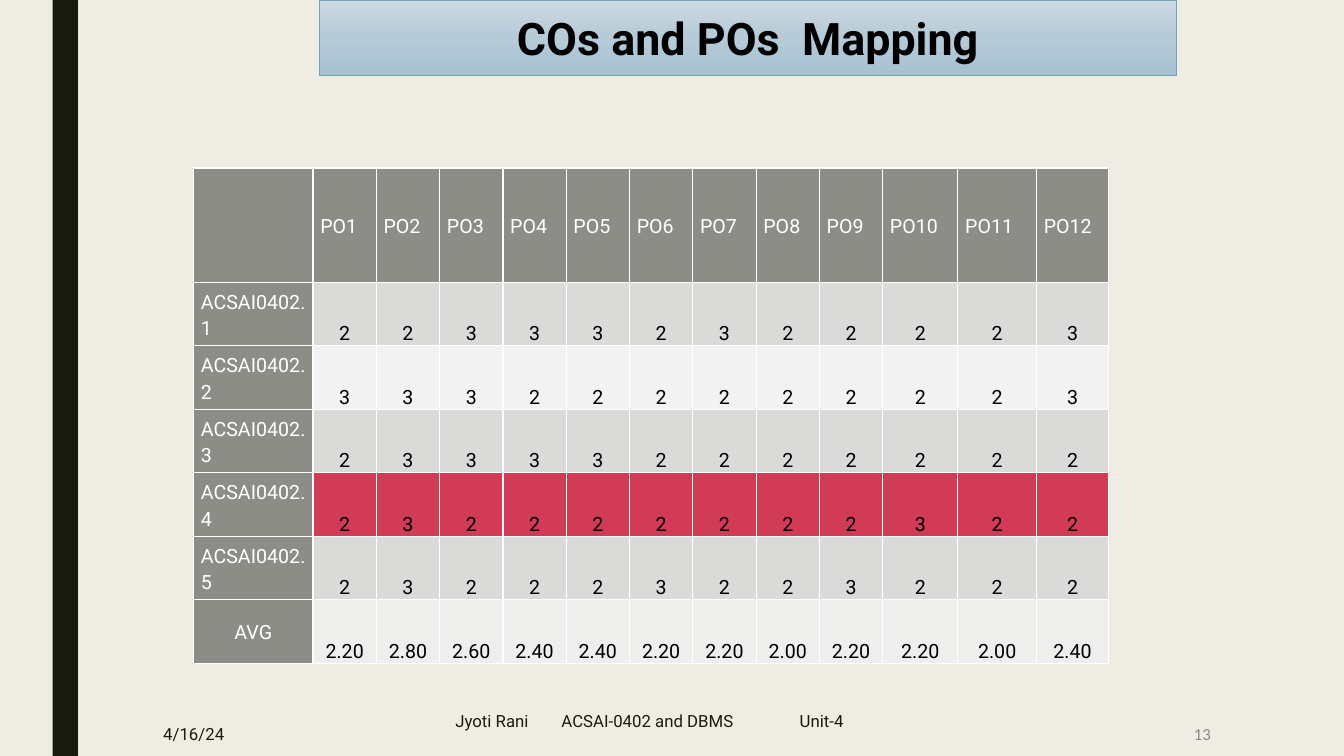
from copy import deepcopy
from dataclasses import dataclass

from lxml.etree import SubElement
from pptx import Presentation
from pptx.dml.color import RGBColor
from pptx.enum.shapes import MSO_SHAPE
from pptx.enum.text import MSO_ANCHOR, MSO_AUTO_SIZE, PP_ALIGN
from pptx.oxml.ns import qn
from pptx.util import Pt

CREAM = RGBColor(0xEF, 0xED, 0xE3)
DARK = RGBColor(0x19, 0x1B, 0x0E)
BLACK = RGBColor(0, 0, 0)
WHITE = RGBColor(0xFF, 0xFF, 0xFF)
MUTED = RGBColor(0x89, 0x89, 0x89)
EDGE = RGBColor(0x77, 0xA2, 0xBB)
BLUES = (RGBColor(0xCC, 0xDA, 0xE3), RGBColor(0xB6, 0xCA, 0xD7),
         RGBColor(0xA7, 0xC1, 0xD2))
HEAD = RGBColor(0x8C, 0x8D, 0x86)
GREY = RGBColor(0xDA, 0xDB, 0xD9)
LIGHT = RGBColor(0xF2, 0xF2, 0xF2)
PALE = RGBColor(0xEE, 0xEE, 0xED)
RED = RGBColor(0xD1, 0x3B, 0x56)


@dataclass
class Note:
    text: str
    left: float
    top: float
    width: float
    height: float
    color: RGBColor = DARK
    font: str = "Roboto"
    align: PP_ALIGN = PP_ALIGN.LEFT
    tabs: tuple[float, ...] = ()


@dataclass
class Row:
    label: str
    cells: list[str]
    fill: RGBColor
    align: PP_ALIGN = PP_ALIGN.LEFT


NOTES = [
    Note("4/16/24", 109.5, 508.3, 95, 31.7),
    Note("Jyoti Rani\tACSAI-0402 and DBMS\tUnit-4", 318.2, 500.4, 396, 28.8,
         tabs=(75.8, 246)),
    Note("13", 746, 508.3, 126, 31.7, MUTED, "Calibri", PP_ALIGN.RIGHT),
]

# Scores of each course outcome for PO1 to PO12
SCORES = ["223332322223", "333222222223", "233332222222",
          "232222222322", "232223223222"]
FILLS = [GREY, LIGHT, GREY, RED, GREY]
MEANS = [f"{sum(map(int, col)) / len(SCORES):.2f}" for col in zip(*SCORES)]
ROWS = [Row(f"ACSAI0402.{i}", list(marks), fill)
        for i, (marks, fill) in enumerate(zip(SCORES, FILLS), 1)]
ROWS.append(Row("AVG", MEANS, PALE, PP_ALIGN.CENTER))
WIDTHS = [85.3] + [45.24] * 9 + [53.7, 56.2, 51.4]
HEIGHTS = [81.6] + [45.36] * len(ROWS)


def style(para, size: float, color: RGBColor, font: str = "Roboto",
          bold: bool = False) -> None:
    for run in para.runs:
        run.font.size = Pt(size)
        run.font.name = font
        run.font.bold = bold
        run.font.color.rgb = color


def add_title(slide) -> None:
    title = slide.shapes.title
    title.left, title.top = Pt(228.2), Pt(0)
    title.width, title.height = Pt(612), Pt(54)
    title.fill.gradient()
    title.fill.gradient_angle = 270
    stops = title.fill.gradient_stops
    # Add a middle stop
    first = title.fill._fill._gradFill.gsLst[0]
    first.addnext(deepcopy(first))
    stops = title.fill.gradient_stops
    for i, (stop, color) in enumerate(zip(stops, BLUES)):
        stop.position = i / 2
        stop.color.rgb = color
    title.line.color.rgb = EDGE
    title.line.width = Pt(0.5)
    frame = title.text_frame
    frame.text = "COs and POs  Mapping"
    frame.auto_size = MSO_AUTO_SIZE.NONE
    frame.vertical_anchor = MSO_ANCHOR.MIDDLE
    frame.paragraphs[0].alignment = PP_ALIGN.CENTER
    style(frame.paragraphs[0], 32, BLACK, bold=True)


def add_note(slide, note: Note) -> None:
    box = slide.shapes.add_textbox(Pt(note.left), Pt(note.top),
                                   Pt(note.width), Pt(note.height))
    frame = box.text_frame
    frame.word_wrap = True
    frame.vertical_anchor = MSO_ANCHOR.MIDDLE
    frame.text = note.text
    para = frame.paragraphs[0]
    para.alignment = note.align
    style(para, 12, note.color, note.font)
    if note.tabs:
        stops = SubElement(para._p.get_or_add_pPr(), qn("a:tabLst"))
        for pos in note.tabs:
            SubElement(stops, qn("a:tab"), pos=str(Pt(pos)), algn="l")


def add_edges(cell) -> None:
    props = cell._tc.get_or_add_tcPr()
    for i, side in enumerate(("lnL", "lnR", "lnT", "lnB")):
        line = SubElement(props, qn(f"a:{side}"), w=str(Pt(1)))
        paint = SubElement(line, qn("a:solidFill"))
        SubElement(paint, qn("a:srgbClr"), val=str(WHITE))
        props.insert(i, line)


def set_cell(cell, text: str, fill: RGBColor, color: RGBColor,
             align: PP_ALIGN, anchor: MSO_ANCHOR, after: float = 0) -> None:
    cell.fill.solid()
    cell.fill.fore_color.rgb = fill
    add_edges(cell)
    cell.margin_left = cell.margin_right = Pt(5.2)
    cell.margin_top = cell.margin_bottom = Pt(0)
    cell.vertical_anchor = anchor
    cell.text_frame.text = text
    para = cell.text_frame.paragraphs[0]
    para.alignment = align
    para.line_spacing = 1.15
    para.space_after = Pt(after)
    style(para, 14, color)


def add_grid(slide) -> None:
    frame = slide.shapes.add_table(len(HEIGHTS), len(WIDTHS), Pt(138.3), Pt(120),
                                   Pt(sum(WIDTHS)), Pt(sum(HEIGHTS)))
    table = frame.table
    for col, width in zip(table.columns, WIDTHS):
        col.width = Pt(width)
    for row, height in zip(table.rows, HEIGHTS):
        row.height = Pt(height)
    # Header row
    for c in range(len(WIDTHS)):
        set_cell(table.cell(0, c), f"PO{c}" if c else "", HEAD, WHITE,
                 PP_ALIGN.JUSTIFY, MSO_ANCHOR.MIDDLE)
    # Outcome rows and averages
    for r, row in enumerate(ROWS, 1):
        set_cell(table.cell(r, 0), row.label, HEAD, WHITE, row.align,
                 MSO_ANCHOR.MIDDLE)
        for c, text in enumerate(row.cells, 1):
            set_cell(table.cell(r, c), text, row.fill, BLACK,
                     PP_ALIGN.CENTER, MSO_ANCHOR.BOTTOM, 10)


def main() -> None:
    deck = Presentation()
    deck.slide_width, deck.slide_height = Pt(960), Pt(540)
    slide = deck.slides.add_slide(deck.slide_layouts[5])
    slide.background.fill.solid()
    slide.background.fill.fore_color.rgb = CREAM
    # Side band
    band = slide.shapes.add_shape(MSO_SHAPE.RECTANGLE, Pt(37.6), Pt(0),
                                  Pt(18), Pt(540))
    band.shadow.inherit = False
    band.fill.solid()
    band.fill.fore_color.rgb = DARK
    band.line.fill.background()
    # Footer, title and table
    for note in NOTES:
        add_note(slide, note)
    add_title(slide)
    add_grid(slide)
    deck.save("out.pptx")


if __name__ == "__main__":
    main()
